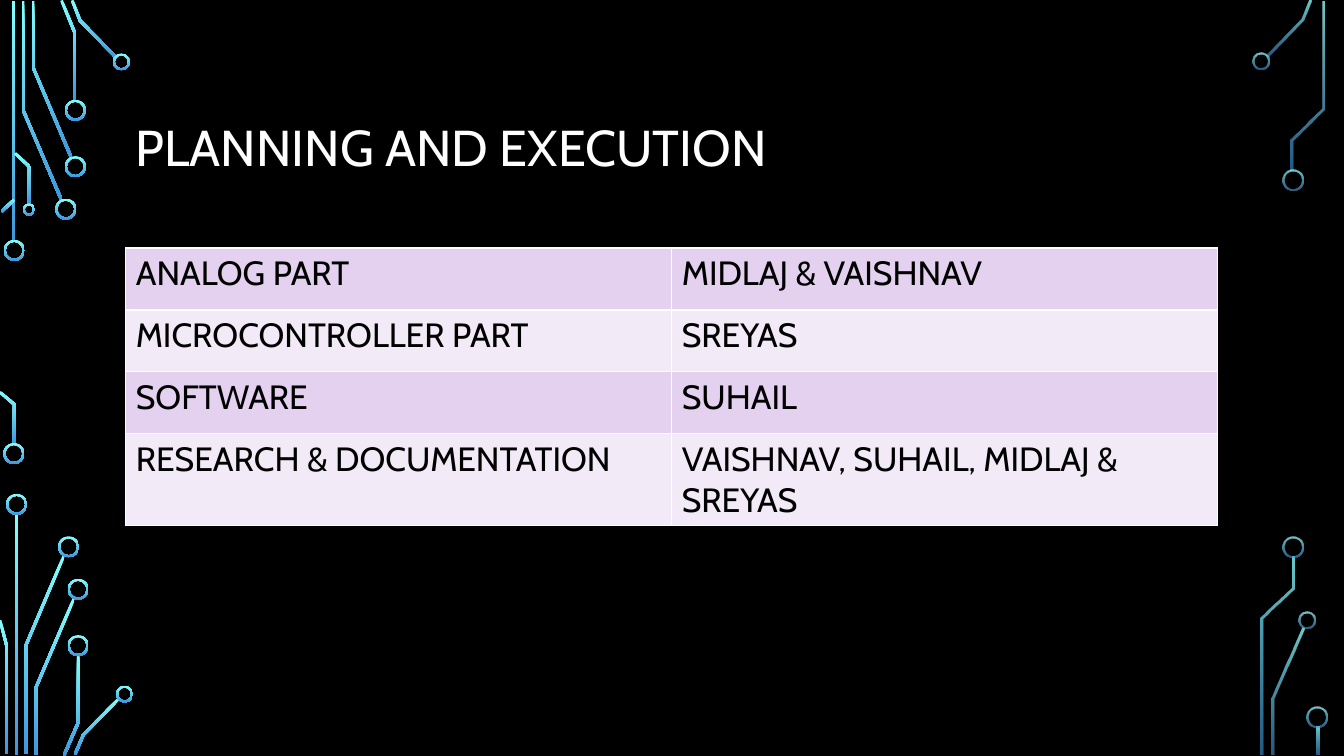
from math import hypot

from lxml.etree import SubElement
from pptx import Presentation
from pptx.dml.color import RGBColor
from pptx.enum.shapes import MSO_SHAPE as Preset
from pptx.enum.text import MSO_ANCHOR as Anchor, PP_ALIGN as Align
from pptx.oxml.ns import qn
from pptx.util import Cm, Pt

COLORS = {
    "background": "000000", "title": "FFFFFF", "border": "FFFFFF",
    "cell": "000000", "odd": "E4D1EF", "even": "F2EAF7",
    "glow": "82FFFF", "deep": "3D97DE",
}
FONT = "Cabin"
TRACE_WIDTH = 0.07
RING_WIDTH = 0.05
BIG, SMALL, TINY = 0.53, 0.43, 0.31
SOLID, FADED = (100, 100), (80, 60)

TASKS = [
    ("ANALOG PART", "MIDLAJ & VAISHNAV"),
    ("MICROCONTROLLER PART", "SREYAS"),
    ("SOFTWARE", "SUHAIL"),
    ("RESEARCH & DOCUMENTATION", "VAISHNAV, SUHAIL, MIDLAJ & SREYAS"),
]

CIRCUITS = [
    {"corner": (0, 0), "opacity": SOLID,
     "traces": [
         [(0.34, 0.03), (0.34, 6.1)],
         [(0.58, 0.03), (0.58, 2.77), (1.55, 5.04)],
         [(0.83, 0.03), (0.83, 1.69), (1.8, 3.98)],
         [(1.55, 0.01), (1.89, 0.84), (1.89, 2.54)],
         [(1.82, 0.01), (2.02, 0.52), (2.93, 1.45)],
         [(0.04, 5.33), (0.36, 5.03)],
         [(0.38, 3.86), (0.74, 4.2), (0.74, 5.16)]],
     "rings": [(0.36, 6.31, BIG), (1.66, 5.27, BIG), (1.9, 4.2, BIG),
               (1.9, 2.78, BIG), (3.06, 1.56, SMALL), (0.73, 5.28, TINY)]},
    {"corner": (0, 9.8), "opacity": SOLID,
     "traces": [
         [(0, 0.08), (0.36, 0.39), (0.36, 1.4)],
         [(0.42, 3.15), (0.42, 9.22)],
         [(0.65, 9.2), (0.65, 6.47), (1.61, 4.21)],
         [(0.17, 9.2), (0.17, 6.48), (0, 5.83)],
         [(0.9, 9.22), (0.9, 7.54), (1.87, 5.27)],
         [(1.61, 9.24), (1.97, 8.41), (1.97, 6.71)],
         [(1.89, 9.21), (2.1, 8.72), (3, 7.8)]],
     "rings": [(0.35, 1.63, BIG), (0.42, 2.91, BIG), (1.73, 3.98, BIG),
               (1.97, 5.05, BIG), (1.97, 6.47, BIG), (3.14, 7.69, SMALL)]},
    {"corner": (31.5, 0), "opacity": FADED,
     "traces": [
         [(1.53, 0.01), (1.33, 0.5), (0.43, 1.41)],
         [(1.84, 0.03), (1.84, 2.73), (1.06, 3.52), (1.06, 4.29)]],
     "rings": [(0.29, 1.54, SMALL), (1.08, 4.53, BIG)]},
    {"corner": (31.5, 13.4), "opacity": FADED,
     "traces": [
         [(0.57, 5.62), (0.57, 4.21), (1.34, 2.44)],
         [(0.31, 5.62), (0.31, 2.18), (1.1, 1.42), (1.1, 0.62)],
         [(1.71, 4.91), (1.71, 5.62)]],
     "rings": [(1.09, 0.38, BIG), (1.43, 2.23, SMALL), (1.68, 4.68, BIG)]},
]


def color(name):
    """Return the named palette colour."""
    return RGBColor.from_string(COLORS[name])


def write(paragraph, text, size, color_name):
    """Add one formatted run to a paragraph."""
    run = paragraph.add_run()
    run.text = text
    run.font.name = FONT
    run.font.size = Pt(size)
    run.font.color.rgb = color(color_name)


def glow(part, opacity):
    """Fill a circuit part with the downward gradient and no outline."""
    part.shadow.inherit = False
    part.line.fill.background()
    part.fill.gradient()
    part.fill.gradient_angle = 270
    for stop, name, position, percent in zip(
            part.fill.gradient_stops, ("glow", "deep"), (0, 1), opacity):
        stop.color.rgb = color(name)
        stop.position = position
        if percent < 100:
            tint = part._element.findall(".//" + qn("a:srgbClr"))[position]
            SubElement(tint, qn("a:alpha"), val=str(percent * 1000))


def band_outline(points, width):
    """Return the mitred outline of a band around a polyline."""
    normals = []
    for (x1, y1), (x2, y2) in zip(points, points[1:]):
        length = hypot(x2 - x1, y2 - y1)
        normals.append(((y1 - y2) / length, (x2 - x1) / length))
    left, right = [], []
    for (x, y), (ax, ay), (bx, by) in zip(
            points, normals[:1] + normals, normals + normals[-1:]):
        reach = width / 2 / (1 + ax * bx + ay * by)
        dx, dy = (ax + bx) * reach, (ay + by) * reach
        left.append((x + dx, y + dy))
        right.append((x - dx, y - dy))
    return left + right[::-1]


def add_circuit(slide, corner, traces, rings, opacity):
    """Draw the traces and rings of one circuit from its corner."""
    left, top = corner
    for trace in traces:
        outline = [(Cm(left + x), Cm(top + y))
                   for x, y in band_outline(trace, TRACE_WIDTH)]
        builder = slide.shapes.build_freeform(*outline[0])
        builder.add_line_segments(outline[1:], close=True)
        glow(builder.convert_to_shape(), opacity)
    for x, y, size in rings:
        ring = slide.shapes.add_shape(
            Preset.DONUT, Cm(left + x - size / 2), Cm(top + y - size / 2),
            Cm(size), Cm(size))
        ring.adjustments[0] = RING_WIDTH / size
        glow(ring, opacity)


def add_title(slide, left, top, width, height):
    """Place and format the slide title."""
    title = slide.shapes.title
    title.left, title.top = Cm(left), Cm(top)
    title.width, title.height = Cm(width), Cm(height)
    title.text_frame.word_wrap = True
    title.text_frame.vertical_anchor = Anchor.MIDDLE
    heading = title.text_frame.paragraphs[0]
    heading.alignment = Align.LEFT
    heading.line_spacing = 0.9
    write(heading, "PLANNING AND EXECUTION", 36, "title")


def add_borders(cell):
    """Draw thin borders on the four sides of a cell."""
    properties = cell._tc.get_or_add_tcPr()
    for side in ("a:lnL", "a:lnR", "a:lnT", "a:lnB"):
        border = SubElement(properties, qn(side), w=str(Pt(1)))
        paint = SubElement(border, qn("a:solidFill"))
        SubElement(paint, qn("a:srgbClr"), val=COLORS["border"])


def add_task_table(slide, left, top, width, height):
    """Place the table of tasks and the people in charge."""
    table = slide.shapes.add_table(
        len(TASKS), 2, Cm(left), Cm(top), Cm(width), Cm(height)).table
    table.first_row = False
    for row, task in enumerate(TASKS):
        for column, text in enumerate(task):
            cell = table.cell(row, column)
            add_borders(cell)
            cell.fill.solid()
            cell.fill.fore_color.rgb = color("even" if row % 2 else "odd")
            write(cell.text_frame.paragraphs[0], text, 24, "cell")


def main():
    """Build the planning slide and save it."""
    deck = Presentation()
    deck.slide_width, deck.slide_height = Cm(33.87), Cm(19.05)
    slide = deck.slides.add_slide(deck.slide_layouts[5])
    slide.background.fill.solid()
    slide.background.fill.fore_color.rgb = color("background")
    for circuit in CIRCUITS:
        add_circuit(slide, **circuit)
    add_title(slide, 3.17, 1.73, 27.52, 4.11)
    add_task_table(slide, 3.17, 6.25, 27.52, 6.24)
    deck.save("out.pptx")


if __name__ == "__main__":
    main()
